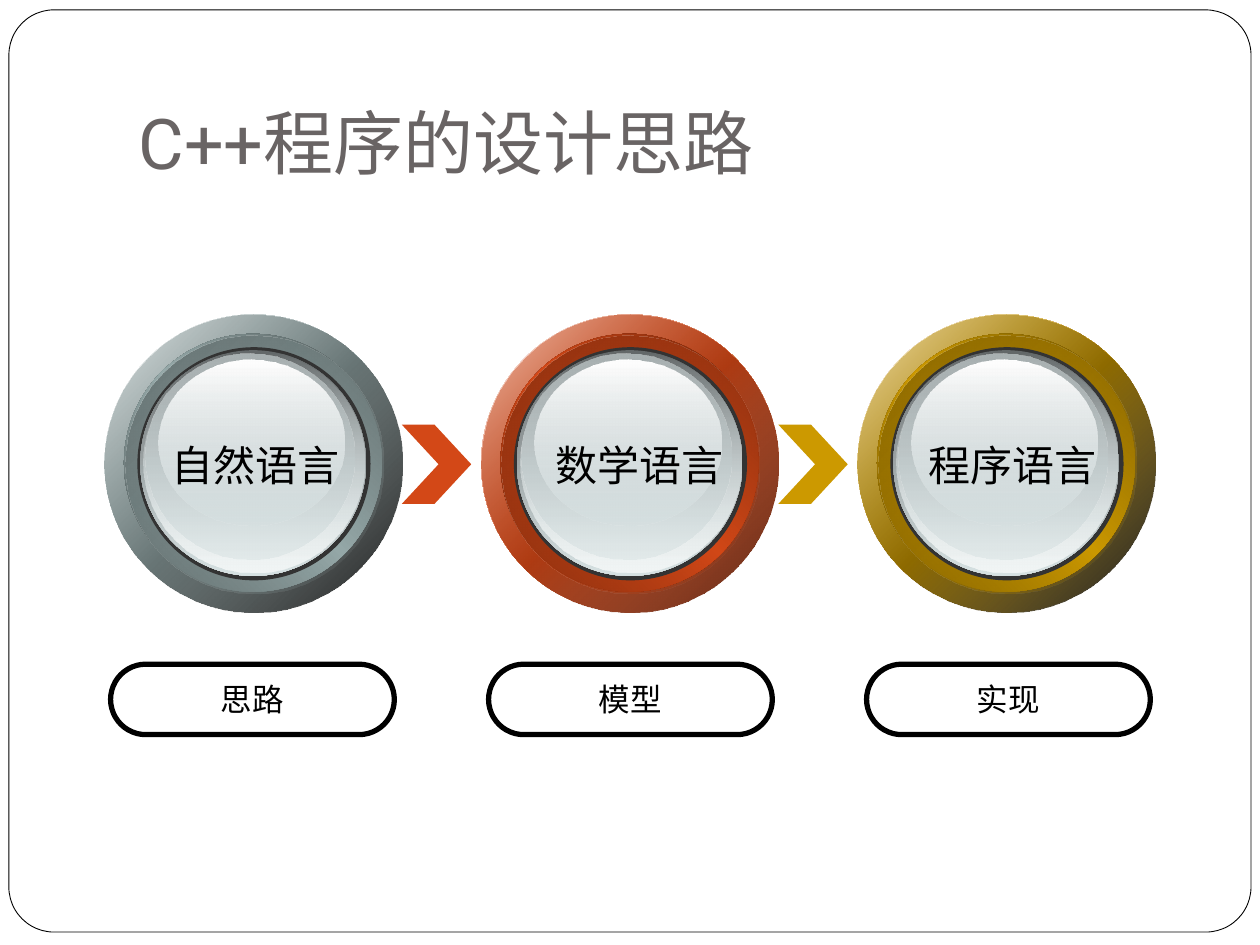
import pptx
import pptx.dml.color
import pptx.enum.shapes
import pptx.enum.text
import pptx.oxml.ns
import pptx.util
from lxml import etree

Cm, Pt = pptx.util.Cm, pptx.util.Pt
SHAPES = pptx.enum.shapes.MSO_SHAPE
ANCHOR = pptx.enum.text.MSO_ANCHOR
ALIGN = pptx.enum.text.PP_ALIGN
qn = pptx.oxml.ns.qn
rgb = pptx.dml.color.RGBColor.from_string


def add_preset(parent, preset, left, top, width, height, stops, angle=0):
    """Add a borderless shape; stops are (position %, colour, opacity %), one stop is a solid fill."""
    shape = parent.shapes.add_shape(preset, Cm(left), Cm(top), Cm(width), Cm(height))
    shape.shadow.inherit = False
    shape.line.fill.background()
    if len(stops) == 1:
        shape.fill.solid()
        shape.fill.fore_color.rgb = rgb(stops[0][1])
        return shape
    shape.fill.gradient()
    shape.fill.gradient_angle = (360 - angle) % 360
    stop_list = next(shape._element.spPr.iter(qn("a:gsLst")))
    for old_stop in list(stop_list):
        stop_list.remove(old_stop)
    for position, colour, opacity in stops:
        stop = etree.SubElement(stop_list, qn("a:gs"), pos=str(position * 1000))
        color = etree.SubElement(stop, qn("a:srgbClr"), val=colour)
        if opacity < 100:
            etree.SubElement(color, qn("a:alpha"), val=str(opacity * 1000))
    return shape


def format_text(shape, text, font_name, size, colour, alignment):
    frame = shape.text_frame
    frame.text = text
    paragraph = frame.paragraphs[0]
    paragraph.alignment = alignment
    font = paragraph.runs[0].font
    font.name = font_name
    font.size = Pt(size)
    font.color.rgb = rgb(colour)


presentation = pptx.Presentation()
presentation.slide_width = Cm(25.4)
presentation.slide_height = Cm(19.05)
slide = presentation.slides.add_slide(presentation.slide_layouts[5])

# Page frame, placed behind the title
frame = add_preset(slide, SHAPES.ROUNDED_RECTANGLE, 0.18, 0.2, 25.04, 18.59, [(0, "FFFFFF", 100)])
frame.adjustments[0] = 0.049
frame.line.color.rgb = rgb("000000")
frame.line.width = Pt(0.5)
slide.shapes._spTree.insert(2, frame._element)

title = slide.shapes.title
title.left, title.top, title.width, title.height = Cm(2.54), Cm(0.76), Cm(21.59), Cm(3.18)
title.text_frame.word_wrap = True
title.text_frame.auto_size = pptx.enum.text.MSO_AUTO_SIZE.NONE
title.text_frame.vertical_anchor = ANCHOR.BOTTOM
title.text_frame.margin_bottom = Cm(0.25)
format_text(title, "C++程序的设计思路", "Roboto", 40, "696464", ALIGN.LEFT)

# Stages: caption, its left edge, label, main, groove and highlight colours, outer shade
stages = [
    ("自然语言", 3.2, "思路", "96A9A9", "515B5B", "5F6B6B", ("000000", 90)),
    ("数学语言", 10.95, "模型", "D34817", "72270C", "862E0F", ("62210B", 100)),
    ("程序语言", 18.47, "实现", "CC9900", "6E5300", "826100", ("000000", 90)),
]
ring_left, ring_top, ring_size, pitch = 2.11, 6.34, 6, 7.59

# Glass button layers: offset x, offset y, width, height, stops
glass_layers = [
    (0.72, 0.72, 4.55, 4.55, [(0, "636869", 100), (100, "D6E1E2", 100)]),
    (0.79, 0.75, 4.45, 4.45, [(0, "D6E1E2", 0), (100, "F1F5F5", 100)]),
    (0.82, 0.79, 4.22, 4.14, [(0, "AAB2B3", 100), (100, "D6E1E2", 48)]),
    (1.08, 0.9, 3.76, 3.35, [(0, "FFFFFF", 100), (100, "D6E1E2", 38)]),
]

for index, (caption, caption_left, label, main, groove, highlight, shade) in enumerate(stages):
    left = ring_left + index * pitch

    if index > 0:
        chevron = add_preset(slide, SHAPES.CHEVRON, left - 1.6, 8.56, 1.4, 1.6, [(0, main, 100)])
        chevron.adjustments[0] = 0.53

    ring_layers = [
        (0, ring_size, [(0, "FFFFFF", 100), (50, main, 100), (100, "FFFFFF", 100)], 45),
        (0, ring_size, [(0, main, 32), (100, *shade)], 45),
        (0.39, 5.2, [(0, groove, 100), (50, main, 100), (100, groove, 100)], 315),
        (0.42, 5.2, [(0, highlight, 100), (100, main, 0)], 45),
        (0.66, 4.7, [(0, "333333", 100)], 0),
    ]
    for offset, size, stops, angle in ring_layers:
        add_preset(slide, SHAPES.OVAL, left + offset, ring_top + offset, size, size, stops, angle)

    glass = slide.shapes.add_group_shape()
    for offset_x, offset_y, width, height, stops in glass_layers:
        add_preset(glass, SHAPES.OVAL, left + offset_x, ring_top + offset_y, width, height, stops, 90)

    pill = add_preset(slide, SHAPES.ROUNDED_RECTANGLE, 2.23 + index * 7.62, 13.39, 5.72, 1.42,
                      [(0, "FFFFFF", 100)])
    pill.adjustments[0] = 0.5
    pill.fill.background()
    pill.line.color.rgb = rgb("000000")
    pill.line.width = Pt(3)
    pill.text_frame.word_wrap = False
    pill.text_frame.vertical_anchor = ANCHOR.MIDDLE
    format_text(pill, label, "DejaVu Sans", 18, "000000", ALIGN.CENTER)

    text_box = slide.shapes.add_textbox(Cm(caption_left), Cm(8.74), Cm(3.89), Cm(1.27))
    text_box.text_frame.word_wrap = False
    text_box.text_frame.auto_size = pptx.enum.text.MSO_AUTO_SIZE.SHAPE_TO_FIT_TEXT
    format_text(text_box, caption, "Arial", 24, "000000", ALIGN.CENTER)

presentation.save("out.pptx")
